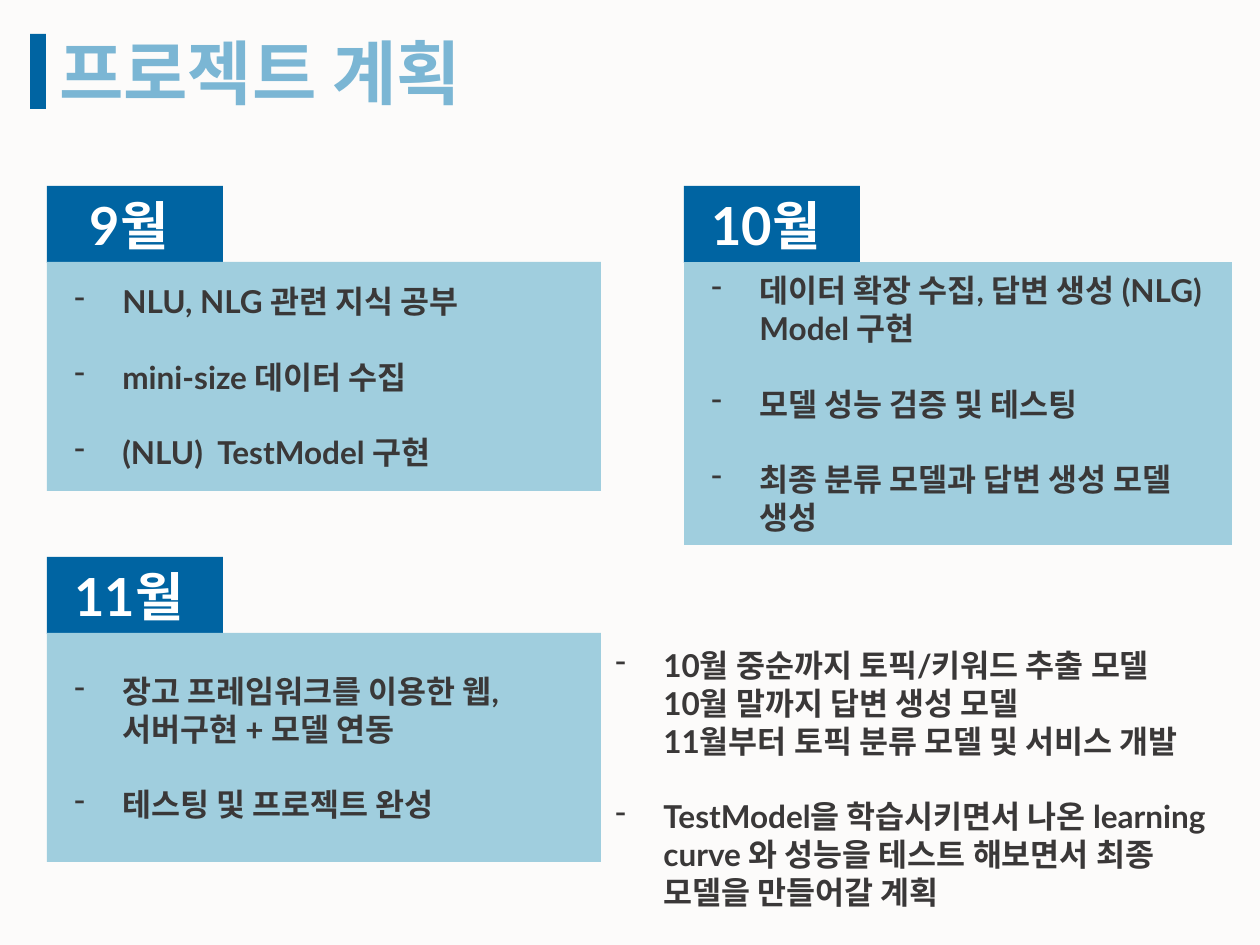
from dataclasses import dataclass

from lxml.etree import SubElement
from pptx import Presentation
from pptx.dml.color import RGBColor
from pptx.enum.shapes import MSO_SHAPE
from pptx.enum.text import MSO_ANCHOR, PP_ALIGN
from pptx.oxml.ns import qn
from pptx.util import Pt

SCALE = 914400 / 126


@dataclass(frozen=True)
class Theme:
    background: str = "FCFBFA"
    accent: str = "0064A2"
    panel: str = "A0CEDE"
    title: str = "7BB6D4"
    light: str = "FFFFFF"
    body: str = "3A3838"
    font: str = "Lato"
    title_size: int = 40
    month_size: int = 30
    body_size: int = 18
    item_gap: float = 21.6


theme = Theme()


def add_block(box, fill=None):
    left, top, width, height = [round(value * SCALE) for value in box]
    if fill is None:
        return slide.shapes.add_textbox(left, top, width, height)
    shape = slide.shapes.add_shape(MSO_SHAPE.RECTANGLE, left, top, width, height)
    shape.shadow.inherit = False
    shape.fill.solid()
    shape.fill.fore_color.rgb = RGBColor.from_string(fill)
    shape.line.fill.background()
    return shape


def write_text(shape, items, size=theme.body_size, color=theme.body,
               align=PP_ALIGN.LEFT, anchor=MSO_ANCHOR.MIDDLE, bullet=False, inset=6):
    frame = shape.text_frame
    frame.word_wrap = True
    frame.vertical_anchor = anchor
    frame.margin_top = frame.margin_bottom = round(inset * SCALE)
    for index, item in enumerate(items):
        for line_index, line in enumerate(item.split("\n")):
            first = index == 0 and line_index == 0
            paragraph = frame.paragraphs[0] if first else frame.add_paragraph()
            paragraph.alignment = align
            run = paragraph.add_run()
            run.text = line
            run.font.name = theme.font
            run.font.size = Pt(size)
            run.font.bold = True
            run.font.color.rgb = RGBColor.from_string(color)
            if index and line_index == 0:
                paragraph.space_before = Pt(theme.item_gap)
            if bullet:
                properties = paragraph._p.get_or_add_pPr()
                properties.set("marL", str(round(63 * SCALE)))
                properties.set("indent", str(round(-48 * SCALE) if line_index == 0 else 0))
                if line_index == 0:
                    SubElement(properties, qn("a:buChar"), char="-")


presentation = Presentation()
presentation.slide_width = round(1260 * SCALE)
presentation.slide_height = round(945 * SCALE)
slide = presentation.slides.add_slide(presentation.slide_layouts[6])
slide.background.fill.solid()
slide.background.fill.fore_color.rgb = RGBColor.from_string(theme.background)

add_block((30, 34, 16, 75), theme.accent)
title = add_block((47, 23, 566, 97))
write_text(title, ["프로젝트 계획"], size=theme.title_size, color=theme.title, anchor=MSO_ANCHOR.TOP)

months = [
    ("9월 ", 47, 186, 554, 229,
     ["NLU, NLG 관련 지식 공부", "mini-size 데이터 수집", "(NLU)  TestModel 구현"]),
    ("11월 ", 47, 557, 554, 229,
     ["장고 프레임워크를 이용한 웹, 서버구현 + 모델 연동", "테스팅 및 프로젝트 완성"]),
    ("10월 ", 684, 186, 548, 283,
     ["데이터 확장 수집, 답변 생성 (NLG) Model 구현", "모델 성능 검증 및 테스팅",
      "최종 분류 모델과 답변 생성 모델 생성"]),
]
for month, left, top, width, height, tasks in months:
    tab = add_block((left, top, 176, 77), theme.accent)
    write_text(tab, [month], size=theme.month_size, color=theme.light, align=PP_ALIGN.CENTER)
    panel = add_block((left, top + 76, width, height), theme.panel)
    write_text(panel, tasks, bullet=True)

schedule = [
    "10월 중순까지 토픽/키워드 추출 모델\n10월 말까지 답변 생성 모델\n11월부터 토픽 분류 모델 및 서비스 개발",
    "TestModel을 학습시키면서 나온 learning curve 와 성능을 테스트 해보면서 최종 모델을 만들어갈 계획",
]
summary = add_block((588, 633, 672, 229))
write_text(summary, schedule, anchor=MSO_ANCHOR.TOP, bullet=True, inset=13)

presentation.save("out.pptx")
